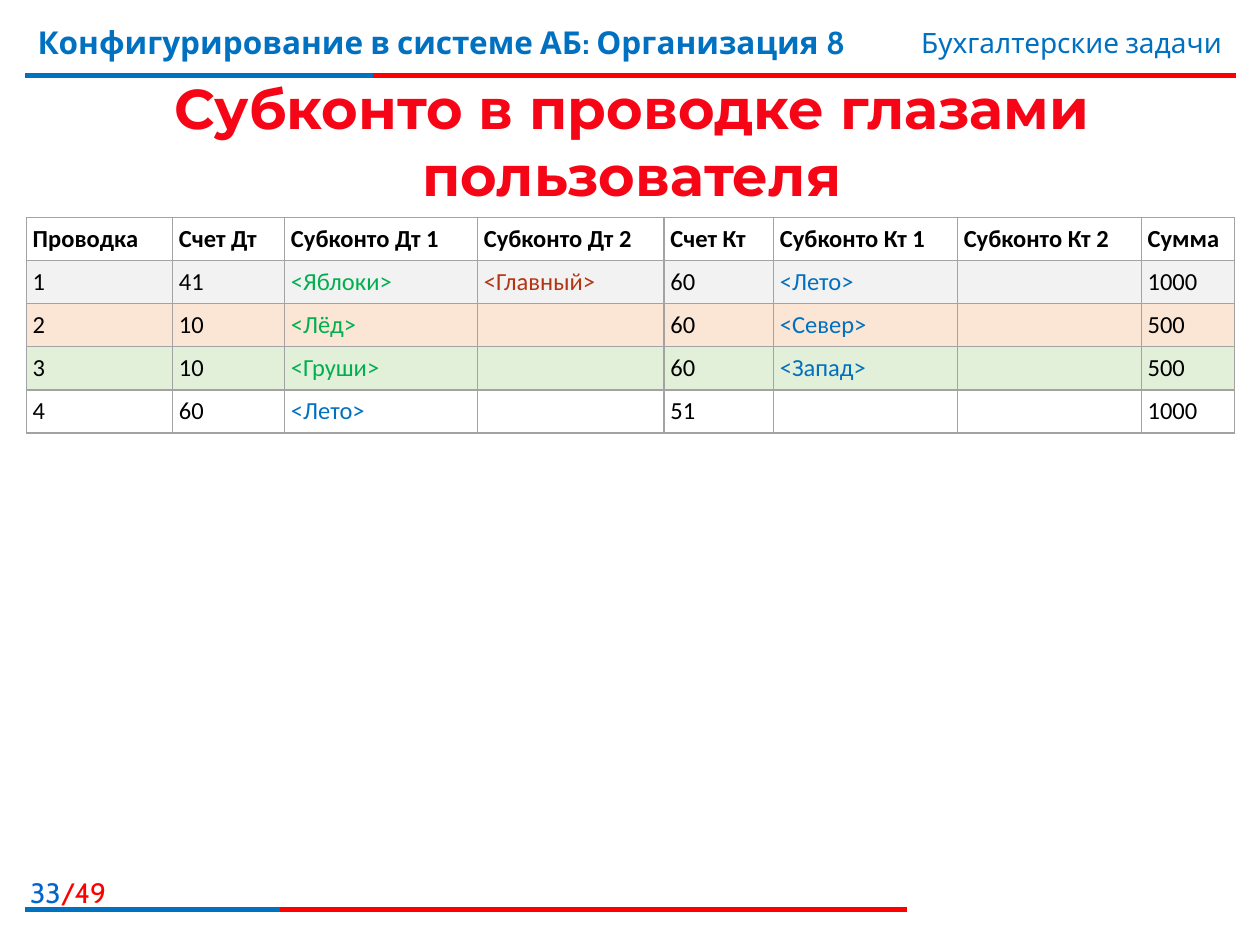
from lxml.etree import SubElement
from pptx import Presentation
from pptx.dml.color import RGBColor
from pptx.enum.shapes import MSO_CONNECTOR
from pptx.enum.text import MSO_ANCHOR, PP_ALIGN
from pptx.oxml.ns import qn
from pptx.util import Pt

BLUE, RED, GREEN, BROWN, BLACK = "0070C0", "FF0000", "00B050", "B43512", "000000"
GREY = "A3A3A3"
LEFT = 14.4

COL_WIDTHS = [83.5, 64.1, 110.2, 106.6, 62.6, 105.1, 105.1, 53.3]
ROW_HEIGHT = 24.6
HEADERS = ["Проводка", "Счет Дт", "Субконто Дт 1", "Субконто Дт 2",
           "Счет Кт", "Субконто Кт 1", "Субконто Кт 2", "Сумма"]
ENTRIES = [
    ("F2F2F2", ["1", "41", "<Яблоки>", "<Главный>", "60", "<Лето>", "", "1000"]),
    ("FBE5D5", ["2", "10", "<Лёд>", "", "60", "<Север>", "", "500"]),
    ("E2EFD9", ["3", "10", "<Груши>", "", "60", "<Запад>", "", "500"]),
    (None, ["4", "60", "<Лето>", "", "51", "", "", "1000"]),
]
SUBCONTO_COLORS = {
    "<Яблоки>": GREEN, "<Лёд>": GREEN, "<Груши>": GREEN, "<Главный>": BROWN,
    "<Лето>": BLUE, "<Север>": BLUE, "<Запад>": BLUE,
}


def rgb(color):
    return RGBColor.from_string(color)


def add_run(p, text, font, size, color, bold=False):
    r = p.add_run()
    r.text = text
    r.font.name, r.font.size, r.font.bold = font, Pt(size), bold
    r.font.color.rgb = rgb(color)


def add_text(s, box, runs, align=PP_ALIGN.LEFT, anchor=MSO_ANCHOR.TOP):
    """Place a one-paragraph text box; each run is (text, font, size, color, bold)."""
    tf = s.shapes.add_textbox(*map(Pt, box)).text_frame
    tf.word_wrap = True
    tf.vertical_anchor = anchor
    p = tf.paragraphs[0]
    p.alignment = align
    for run in runs:
        add_run(p, *run)


def add_rule(s, x, y, width, blue_width):
    """Draw a red rule whose left part is covered in blue."""
    for length, color in ((width, RED), (blue_width, BLUE)):
        sp = s.shapes.add_connector(MSO_CONNECTOR.STRAIGHT,
                                    Pt(x), Pt(y), Pt(x + length), Pt(y))
        sp.line.color.rgb = rgb(color)
        sp.line.width = Pt(3)
        SubElement(sp._element.spPr, qn("a:effectLst"))


def add_header(s, x, y, width):
    add_rule(s, x, y + 33.8, width, 198.7)
    add_text(s, (x, y, 532.8, 44.6),
             [("Конфигурирование в системе АБ: Организация 8", "Cabin", 18, BLUE, True)])
    add_text(s, (x + width - 278.8, y + 1.4, 277.9, 26.6),
             [("Бухгалтерские задачи", "Cabin", 16, BLUE)], PP_ALIGN.RIGHT)


def add_footer(s, x, y, width):
    add_text(s, (x - 21.6, y - 23, 74.9, 23),
             [("33", "Cabin", 16, "0066CC"), ("/49", "Cabin", 16, RED)], PP_ALIGN.RIGHT)
    add_rule(s, x, y, width, 145.4)


def add_title(s, box):
    add_text(s, box,
             [("Субконто в проводке глазами пользователя", "Montserrat", 32, "F50516", True)],
             PP_ALIGN.CENTER, MSO_ANCHOR.MIDDLE)


def set_borders(cell, color):
    tc_pr = cell._tc.get_or_add_tcPr()
    for i, side in enumerate(("lnL", "lnR", "lnT", "lnB")):
        ln = tc_pr.makeelement(qn(f"a:{side}"), {"w": str(Pt(1))})
        fill = SubElement(ln, qn("a:solidFill"))
        SubElement(fill, qn("a:srgbClr"), val=color)
        tc_pr.insert(i, ln)


def fill_cell(cell, text, fill, bold):
    cell.margin_left = cell.margin_right = Pt(3.6)
    cell.margin_top = cell.margin_bottom = Pt(3.6)
    if fill:
        cell.fill.solid()
        cell.fill.fore_color.rgb = rgb(fill)
    else:
        cell.fill.background()
    set_borders(cell, GREY)
    p = cell.text_frame.paragraphs[0]
    if text:
        add_run(p, text, "Calibri", 14, SUBCONTO_COLORS.get(text, BLACK), bold)
    else:
        # Keeps an empty cell from stretching its row
        SubElement(p._p, qn("a:endParaRPr"), sz="1400")


def add_postings_table(s, x, y):
    rows = [(None, HEADERS)] + ENTRIES
    table = s.shapes.add_table(len(rows), len(COL_WIDTHS), Pt(x), Pt(y),
                               Pt(sum(COL_WIDTHS)), Pt(ROW_HEIGHT * len(rows))).table
    table.first_row = table.horz_banding = False
    for column, width in zip(table.columns, COL_WIDTHS):
        column.width = Pt(width)
    for i, (fill, texts) in enumerate(rows):
        table.rows[i].height = Pt(ROW_HEIGHT)
        for j, text in enumerate(texts):
            fill_cell(table.cell(i, j), text, fill, bold=i == 0)


def main():
    prs = Presentation()
    prs.slide_width, prs.slide_height = Pt(720), Pt(540)
    s = prs.slides.add_slide(prs.slide_layouts[6])
    add_header(s, LEFT, 9.4, 692)
    add_footer(s, LEFT, 519.8, 504)
    add_title(s, (15.1, 45.4, 691.9, 69.8))
    add_postings_table(s, 15.1, 124.4)
    prs.save("out.pptx")


if __name__ == "__main__":
    main()
